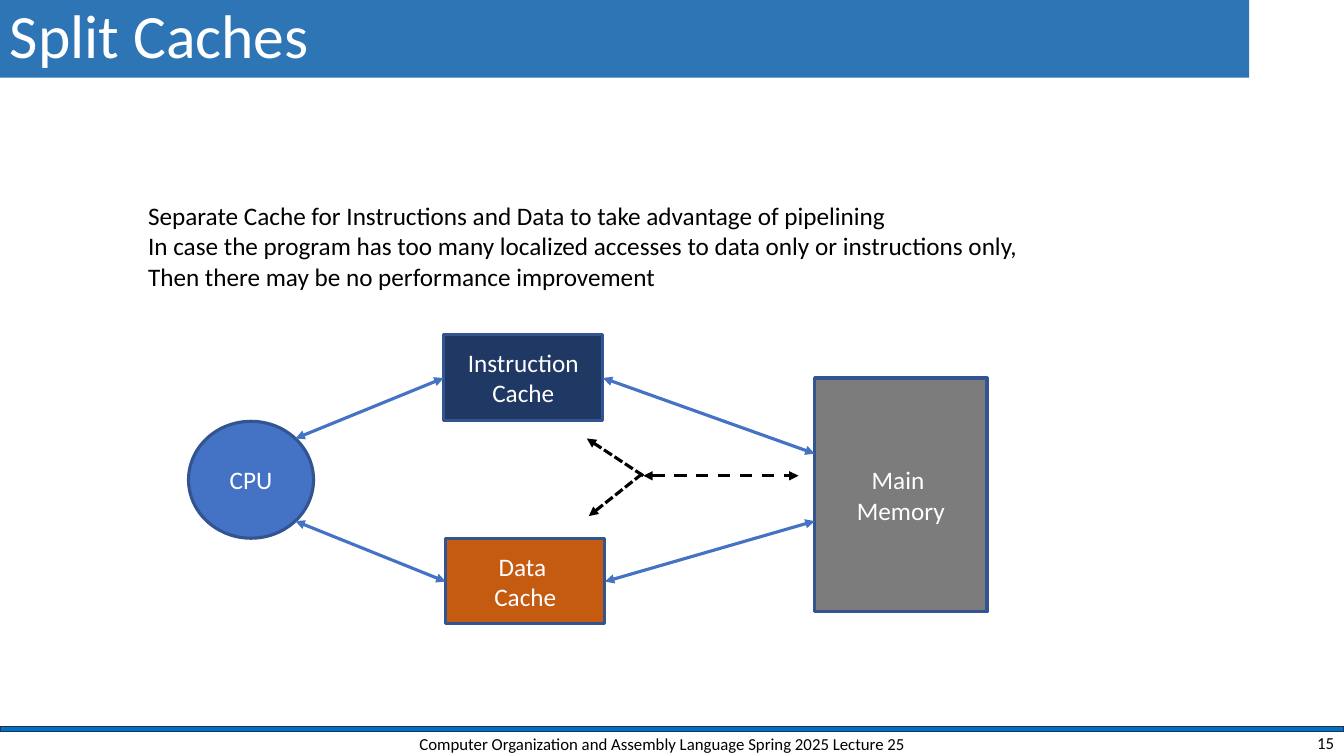
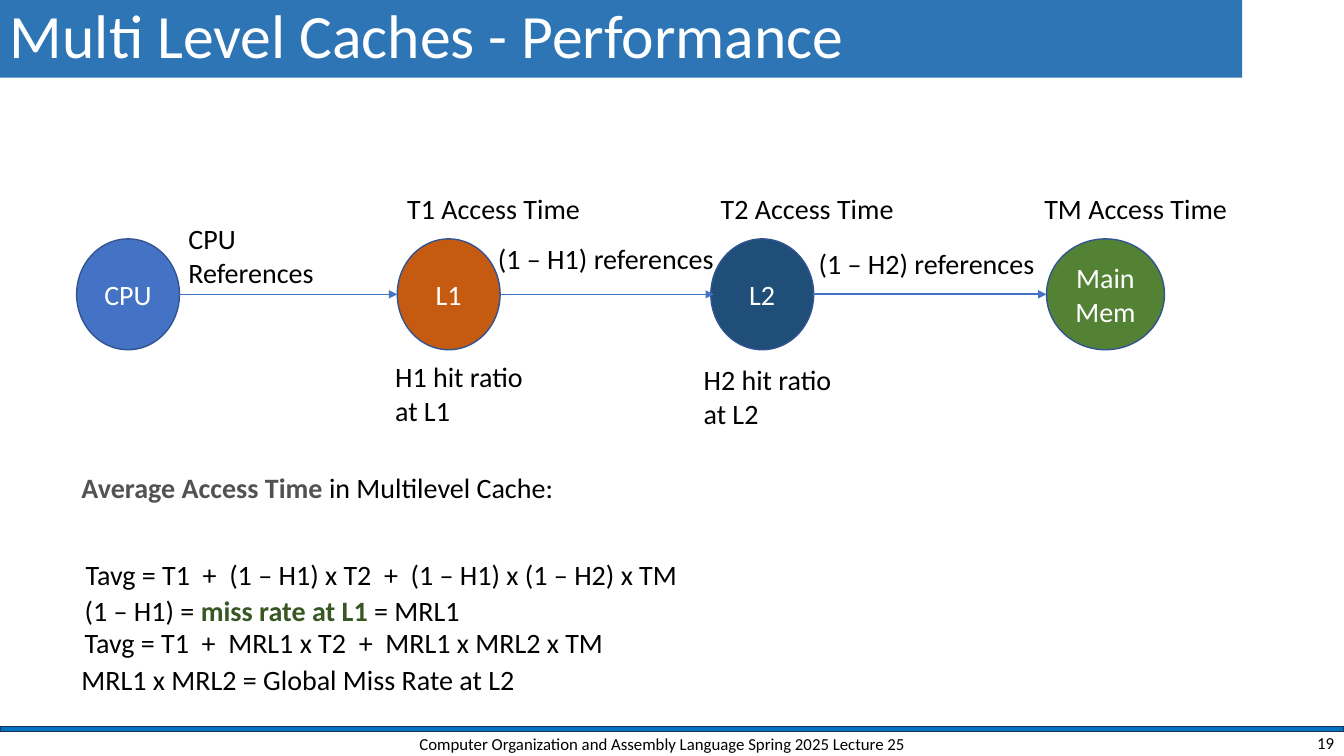
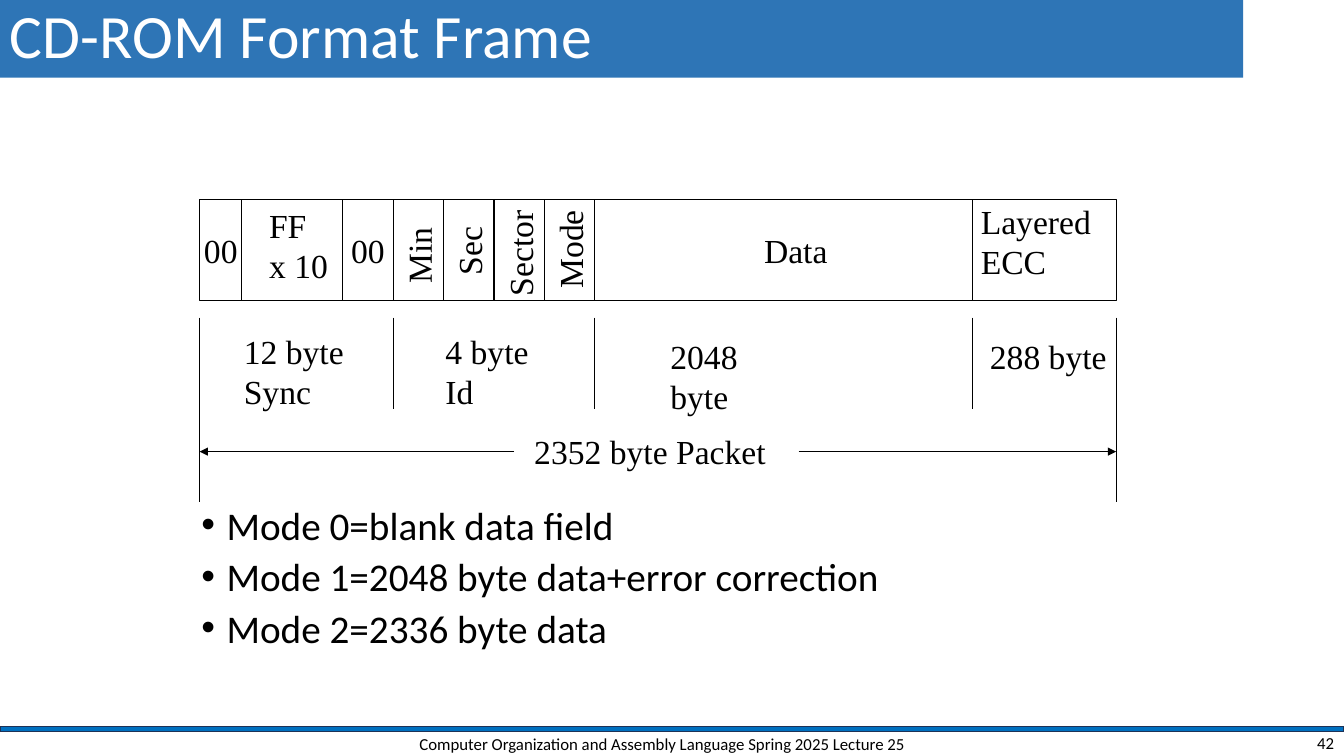
import itertools

import lxml.etree
import pptx
import pptx.dml.color
import pptx.enum.dml
import pptx.enum.shapes
import pptx.enum.text
import pptx.oxml.ns
import pptx.util

PX = 9144  # 100 px to the inch
SANS, SERIF = "Calibri", "Times New Roman"
WHITE, BLACK = "FFFFFF", "000000"
TITLE_BLUE, BAND_BLUE, BAND_EDGE = "2E75B6", "0070C0", "1E3256"
BLUE, EDGE, ORANGE = "4472C4", "325491", "C55A11"

qn = pptx.oxml.ns.qn
rgb = pptx.dml.color.RGBColor.from_string
Align = pptx.enum.text.PP_ALIGN
Anchor = pptx.enum.text.MSO_ANCHOR
Dash = pptx.enum.dml.MSO_LINE
Preset = pptx.enum.shapes.MSO_SHAPE
RECT, OVAL = Preset.RECTANGLE, Preset.OVAL


def block(slide, box, text="", size=18, color=BLACK, font=SANS, align=Align.LEFT,
          anchor=Anchor.TOP, wrap=False, preset=None, fill=None, edge=None, weight=1):
    """Add a text box, or a preset shape with text in it."""
    frame = [value * PX for value in box]
    if preset is None:
        shape = slide.shapes.add_textbox(*frame)
        if not wrap:
            shape.text_frame.auto_size = pptx.enum.text.MSO_AUTO_SIZE.SHAPE_TO_FIT_TEXT
    else:
        shape = slide.shapes.add_shape(preset, *frame)
        shape.shadow.inherit = False
        if fill:
            shape.fill.solid()
            shape.fill.fore_color.rgb = rgb(fill)
        else:
            shape.fill.background()
        if edge:
            shape.line.color.rgb = rgb(edge)
            shape.line.width = pptx.util.Pt(weight)
        else:
            shape.line.fill.background()
    shape.text_frame.text = text
    shape.text_frame.word_wrap = wrap
    shape.text_frame.vertical_anchor = anchor
    for paragraph in shape.text_frame.paragraphs:
        paragraph.alignment = align
        for run in paragraph.runs:
            run.font.size = pptx.util.Pt(size)
            run.font.name = font
            run.font.color.rgb = rgb(color)
    return shape


def line(slide, start, end, color=BLACK, weight=0.75, dash=None, ends=()):
    """Add a straight line; ends names the arrowheads, headEnd before tailEnd."""
    points = [value * PX for value in (*start, *end)]
    connector = slide.shapes.add_connector(pptx.enum.shapes.MSO_CONNECTOR.STRAIGHT, *points)
    connector.line.color.rgb = rgb(color)
    connector.line.width = pptx.util.Pt(weight)
    if dash:
        connector.line.dash_style = dash
    properties = connector._element.spPr
    for end_name in ends:
        lxml.etree.SubElement(properties.find(qn("a:ln")), qn("a:" + end_name), type="triangle")
    lxml.etree.SubElement(properties, qn("a:effectLst"))


TO_END, BOTH_ENDS = ("tailEnd",), ("headEnd", "tailEnd")

deck = pptx.Presentation()
deck.slide_width, deck.slide_height = 1333 * PX, 750 * PX

# Title, band and footer of every slide
slides = []
for title, title_width, number in [
    ("Split Caches", 1239, "15"),
    ("Multi Level Caches - Performance", 1232, "19"),
    ("CD-ROM Format Frame", 1233, "42"),
]:
    slide = deck.slides.add_slide(deck.slide_layouts[6])
    block(slide, (0, 721, 1333, 5), preset=RECT, fill=BAND_BLUE, edge=BAND_EDGE)
    heading = block(slide, (0, 0, title_width, 77), title, 44, WHITE, anchor=Anchor.MIDDLE,
                    wrap=True, preset=RECT, fill=TITLE_BLUE)
    heading.text_frame.paragraphs[0].line_spacing = 0.9
    block(slide, (392, 724, 530, 28),
          "Computer Organization and Assembly Language Spring 2025 Lecture 25",
          12, align=Align.CENTER, anchor=Anchor.MIDDLE, wrap=True)
    block(slide, (1033, 724, 300, 25), number, 12, align=Align.RIGHT,
          anchor=Anchor.MIDDLE, wrap=True)
    slides.append(slide)
split, levels, cdrom = slides

# Split caches: explanation and units
block(split, (137, 194, 893, 101),
      "Separate Cache for Instructions and Data to take advantage of pipelining\n"
      "In case the program has too many localized accesses to data only or instructions only,\n"
      "Then there may be no performance improvement")
for box, unit, preset, fill in [
    ((187, 418, 124, 116), "CPU", OVAL, BLUE),
    ((440, 332, 158, 85), "Instruction Cache", RECT, "203864"),
    ((442, 534, 158, 85), "Data \nCache", RECT, ORANGE),
    ((808, 375, 171, 232), "Main \nMemory", RECT, "7C7C7C"),
]:
    block(split, box, unit, 18, WHITE, align=Align.CENTER, anchor=Anchor.MIDDLE,
          wrap=True, preset=preset, fill=fill, edge=EDGE, weight=2.25)

# Split caches: paths between the units, then the dashed fork
for start, end in [
    ((293, 435), (440, 375)),
    ((293, 517), (442, 577)),
    ((598, 375), (808, 450)),
    ((600, 577), (808, 517)),
]:
    line(split, start, end, BLUE, 2.25, ends=BOTH_ENDS)
line(split, (638, 472), (792, 472), BLACK, 2.25, Dash.DASH, BOTH_ENDS)
line(split, (638, 472), (582, 435), BLACK, 2.25, Dash.SQUARE_DOT, TO_END)
line(split, (637, 470), (584, 512), BLACK, 2.25, Dash.SQUARE_DOT, TO_END)

# Multi level caches: chain of memories
for left, width, memory, fill in [
    (76, 102, "CPU", BLUE),
    (394, 102, "L1", ORANGE),
    (705, 102, "L2", "1F4E79"),
    (1038, 117, "Main\nMem", "548235"),
]:
    block(levels, (left, 237, width, 110), memory, 20, WHITE, align=Align.CENTER,
          anchor=Anchor.MIDDLE, wrap=True, preset=OVAL, fill=fill, edge=EDGE)
for left, right, weight in [(177, 394, 0.5), (496, 708, 0.5), (806, 1038, 1.5)]:
    line(levels, (left, 292), (right, 292), BLUE, weight, ends=TO_END)
for box, label in [
    ((177, 215, 148, 77), "CPU\nReferences"),
    ((394, 185, 196, 44), "T1 Access Time"),
    ((705, 185, 196, 44), "T2 Access Time"),
    ((1026, 185, 206, 44), "TM Access Time"),
    ((382, 352, 151, 77), "H1 hit ratio\nat L1"),
    ((688, 355, 151, 77), "H2 hit ratio\nat L2"),
    ((484, 235, 239, 44), "(1 – H1) references"),
    ((802, 240, 239, 44), "(1 – H2) references"),
]:
    block(levels, box, label, 20)

# Multi level caches: formulas, with the coloured pieces in bold
for left, top, width, pieces in [
    (71, 462, 493, [("Average Access Time ", "525252"), ("in Multilevel Cache:", BLACK)]),
    (75, 548, 612, [("Tavg = T1  +  (1 – H1) x T2  +  (1 – H1) x (1 – H2) x TM", BLACK)]),
    (74, 584, 395, [("(1 – H1) = ", BLACK), ("miss rate at L1 ", "385723"), ("= MRL1", BLACK)]),
    (74, 616, 539, [("Tavg = T1  +  MRL1 x T2  +  MRL1 x MRL2 x TM", BLACK)]),
    (71, 652, 454, [("MRL1 x MRL2 = Global Miss Rate at L2", BLACK)]),
]:
    formula = block(levels, (left, top, width, 44)).text_frame.paragraphs[0]
    for piece, color in pieces:
        run = formula.add_run()
        run.text = piece
        run.font.size = pptx.util.Pt(20)
        run.font.name = SANS
        run.font.bold = color != BLACK
        run.font.color.rgb = rgb(color)

# CD-ROM frame: fields
field_edges = [198, 240, 340, 390, 440, 490, 540, 590, 965, 1107]
field_texts = ["00", "", "00", "", "", "", "", "", ""]
for (left, right), text in zip(itertools.pairwise(field_edges), field_texts):
    block(cdrom, (left, 198, right - left, 100), text, 24, font=SERIF, align=Align.CENTER,
          anchor=Anchor.MIDDLE, preset=RECT, edge=BLACK, weight=0.75)
for middle, top, width, field in [
    (415, 228, 76, "Min"),
    (465, 224, 68, "Sec"),
    (515, 226, 105, "Sector"),
    (565, 222, 98, "Mode"),
]:
    block(cdrom, (middle - width // 2, top, width, 50), field, 24, font=SERIF).rotation = 270
for box, label in [
    ((257, 198, 79, 91), "FF\nx 10"),
    ((748, 223, 83, 50), "Data"),
    ((963, 194, 130, 91), "Layered\nECC"),
    ((232, 323, 120, 91), "12 byte\nSync"),
    ((432, 323, 103, 91), "4 byte\nId"),
    ((655, 328, 152, 50), "2048 byte"),
    ((972, 328, 136, 50), "288 byte"),
    ((520, 423, 252, 50), "2352 byte Packet"),
]:
    block(cdrom, box, label, 24, font=SERIF)

# CD-ROM frame: section marks and packet length
for x, bottom in [(198, 498), (390, 406), (590, 406), (965, 406), (1107, 498)]:
    line(cdrom, (x, 315), (x, bottom))
for start, end in [(510, 198), (792, 1107)]:
    line(cdrom, (start, 448), (end, 448), ends=TO_END)

# CD-ROM frame: modes
modes = block(cdrom, (190, 501, 903, 163),
              "Mode 0=blank data field\n"
              "Mode 1=2048 byte data+error correction\n"
              "Mode 2=2336 byte data", 28, wrap=True)
for index, paragraph in enumerate(modes.text_frame.paragraphs):
    properties = paragraph._p.get_or_add_pPr()
    properties.set("marL", str(25 * PX))
    properties.set("indent", str(-25 * PX))
    lxml.etree.SubElement(properties, qn("a:buFont"), typeface="Arial")
    lxml.etree.SubElement(properties, qn("a:buChar"), char="•")
    paragraph.line_spacing = 0.8
    if index:
        paragraph.space_before = pptx.util.Pt(10)

deck.save("out.pptx")
